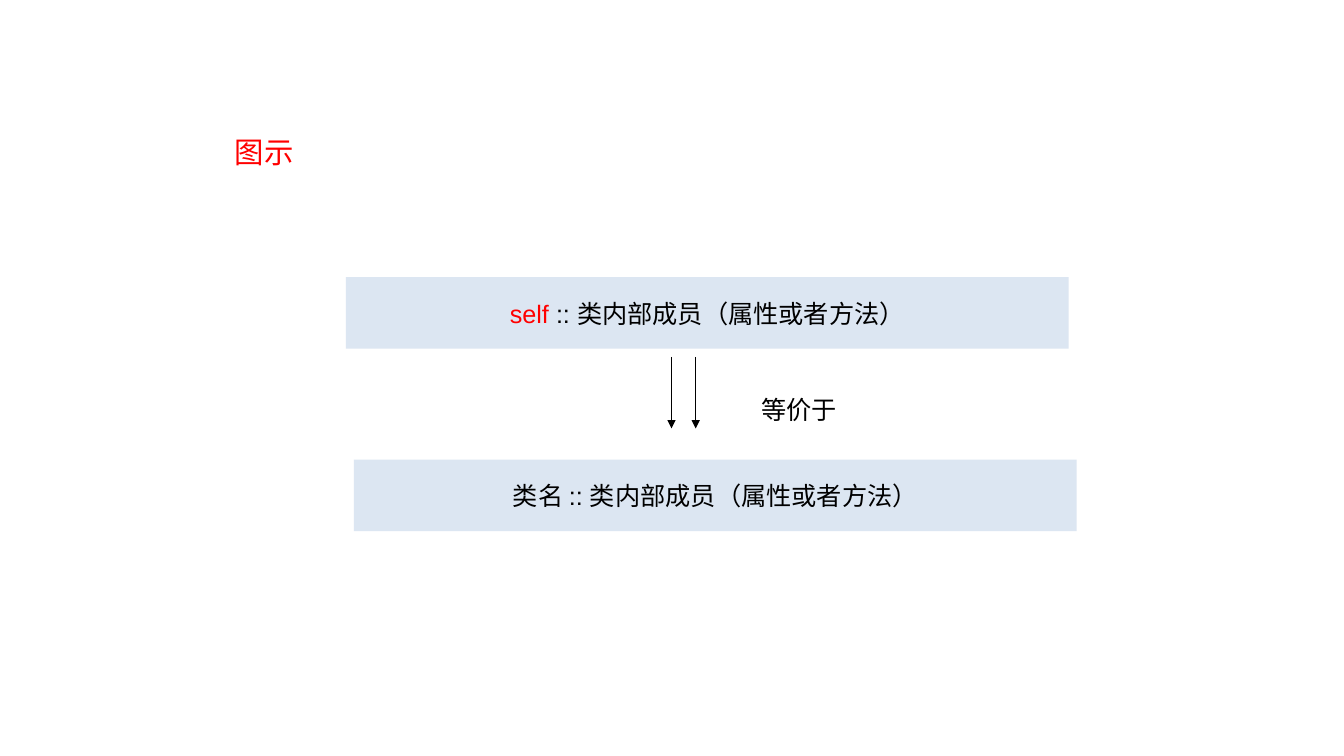
import pptx
import pptx.util
import pptx.dml.color
import pptx.enum.shapes
import pptx.enum.text
import pptx.oxml.ns
import lxml.etree

Inches = pptx.util.Inches
Pt = pptx.util.Pt
RGBColor = pptx.dml.color.RGBColor
Align = pptx.enum.text.PP_ALIGN
Anchor = pptx.enum.text.MSO_ANCHOR
qn = pptx.oxml.ns.qn

RED = RGBColor(0xFF, 0x00, 0x00)
BLACK = RGBColor(0x00, 0x00, 0x00)
PALE = RGBColor(0xDC, 0xE6, 0xF2)
LATIN = "Arial"
HAN = "Noto Sans CJK SC"
MEMBER = " :: 类内部成员（属性或者方法）"


def apply(item, style):
    for key, value in style.items():
        setattr(item, key, value)


def write(shape, parts, frame, align=Align.LEFT, size=18, face=LATIN):
    apply(shape.text_frame, frame)
    para = shape.text_frame.paragraphs[0]
    para.alignment = align
    for text, color in parts:
        run = para.add_run()
        run.text = text
        apply(run.font, {"size": Pt(size), "name": face})
        run.font.color.rgb = color
        east = lxml.etree.SubElement(run.font._element, qn("a:ea"))
        east.set("typeface", HAN)


def label(slide, box, parts, frame, **style):
    shape = slide.shapes.add_textbox(*map(Inches, box))
    write(shape, parts, frame, **style)


def bar(slide, left, top, parts):
    kind = pptx.enum.shapes.MSO_SHAPE.RECTANGLE
    shape = slide.shapes.add_shape(kind, *map(Inches, (left, top, 7.17, 0.71)))
    shape.shadow.inherit = False
    shape.fill.solid()
    shape.fill.fore_color.rgb = PALE
    shape.line.fill.background()
    frame = {"word_wrap": False, "vertical_anchor": Anchor.MIDDLE}
    write(shape, parts, frame, align=Align.CENTER)


def arrow(slide, x, top, bottom):
    kind = pptx.enum.shapes.MSO_CONNECTOR.STRAIGHT
    line = slide.shapes.add_connector(kind, *map(Inches, (x, top, x, bottom)))
    line.line.color.rgb = BLACK
    line.line.width = Pt(0.75)
    tip = lxml.etree.SubElement(line.line._get_or_add_ln(), qn("a:tailEnd"))
    tip.set("type", "triangle")
    lxml.etree.SubElement(line._element.spPr, qn("a:effectLst"))


def main():
    deck = pptx.Presentation()
    apply(deck, {"slide_width": Inches(13.33), "slide_height": Inches(7.5)})
    slide = deck.slides.add_slide(deck.slide_layouts[6])
    sides = ("left", "top", "right", "bottom")
    flush = {f"margin_{side}": 0 for side in sides}
    label(slide, (2.33, 1.33, 1.54, 0.35), [("图示", RED)],
          {"word_wrap": True, **flush}, size=21, face=HAN)
    bar(slide, 3.43, 2.75, [("self", RED), (MEMBER, BLACK)])
    for x in (6.66, 6.9):
        arrow(slide, x, 3.54, 4.25)
    bar(slide, 3.51, 4.56, [("类名" + MEMBER, BLACK)])
    label(slide, (7.45, 3.86, 0.95, 0.4), [("等价于", BLACK)],
          {"word_wrap": False})
    deck.save("out.pptx")


main()
